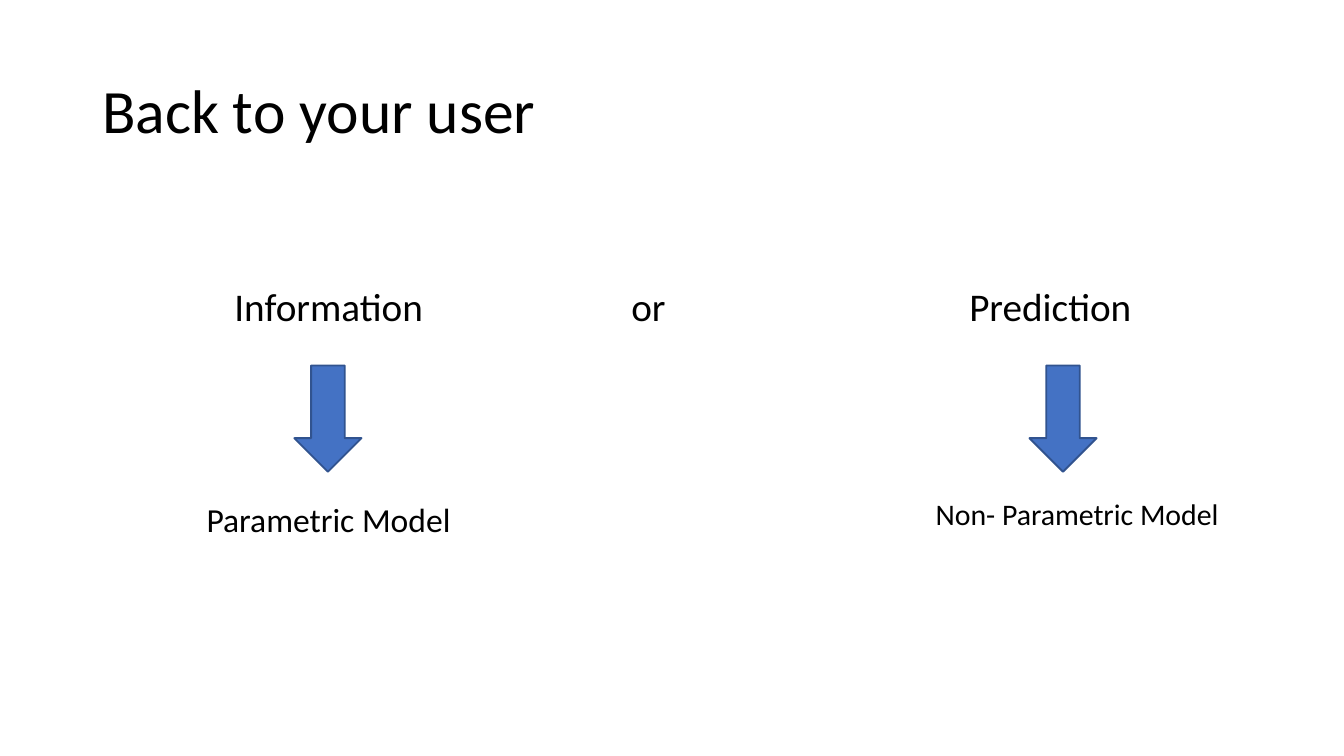
import pptx
import pptx.util
import pptx.dml.color
import pptx.enum.shapes
import pptx.enum.text
from pptx.util import Inches

COLORS = {"text": "000000", "arrow": "4472C4", "outline": "31538F", "background": "FFFFFF"}
ALIGN = pptx.enum.text.PP_ALIGN
ANCHOR = pptx.enum.text.MSO_ANCHOR


def color(name):
    return pptx.dml.color.RGBColor.from_string(COLORS[name])


def write(frame, text, size=21, align=ALIGN.CENTER, anchor=ANCHOR.TOP, spacing=0.8, font="Calibri"):
    frame.word_wrap = True
    frame.auto_size = pptx.enum.text.MSO_AUTO_SIZE.NONE
    frame.vertical_anchor = anchor
    frame.margin_left = frame.margin_right = Inches(0.07)
    frame.margin_top = frame.margin_bottom = Inches(0.04)
    paragraph = frame.paragraphs[0]
    paragraph.text = text
    paragraph.alignment = align
    paragraph.line_spacing = spacing
    paragraph.font.name = font
    paragraph.font.size = pptx.util.Pt(size)
    paragraph.font.color.rgb = color("text")


class SlideBuilder:
    def __init__(self, deck):
        self.slide = deck.slides.add_slide(deck.slide_layouts[5])
        background = self.slide.background.fill
        background.solid()
        background.fore_color.rgb = color("background")

    def title(self, text, left, top, width, height):
        heading = self.slide.shapes.title
        heading.left, heading.top = Inches(left), Inches(top)
        heading.width, heading.height = Inches(width), Inches(height)
        write(heading.text_frame, text, size=33, align=ALIGN.LEFT, anchor=ANCHOR.MIDDLE, spacing=0.9)

    def label(self, text, left, top, width=1.99, height=0.37, **style):
        box = self.slide.shapes.add_textbox(Inches(left), Inches(top), Inches(width), Inches(height))
        write(box.text_frame, text, **style)

    def down_arrow(self, left, top, width=0.5, height=0.79):
        arrow = self.slide.shapes.add_shape(
            pptx.enum.shapes.MSO_SHAPE.DOWN_ARROW,
            Inches(left), Inches(top), Inches(width), Inches(height))
        arrow.shadow.inherit = False
        arrow.fill.solid()
        arrow.fill.fore_color.rgb = color("arrow")
        arrow.line.color.rgb = color("outline")
        arrow.line.width = pptx.util.Pt(1)


def main():
    deck = pptx.Presentation()
    # Widescreen, 16 to 9
    deck.slide_width = Inches(10)
    deck.slide_height = deck.slide_width * 9 // 16
    builder = SlideBuilder(deck)
    builder.title("Back to your user", 0.69, 0.3, 8.62, 1.09)

    # The two goals of the user
    goal_top = 2.13
    information_left, or_left, prediction_left = 1.45, 3.83, 6.82
    builder.label("Information", information_left, goal_top)
    builder.label("or", or_left, goal_top)
    builder.label("Prediction", prediction_left, goal_top)

    # Arrows from each goal to its model
    for arrow_left in (2.19, 7.66):
        builder.down_arrow(arrow_left, 2.72)

    # The model for each goal
    builder.label("Parametric Model", information_left, 3.73, size=18)
    builder.label("Non- Parametric Model", prediction_left, 3.72, width=2.39, size=16, spacing=0.7)

    deck.save("out.pptx")


if __name__ == "__main__":
    main()
